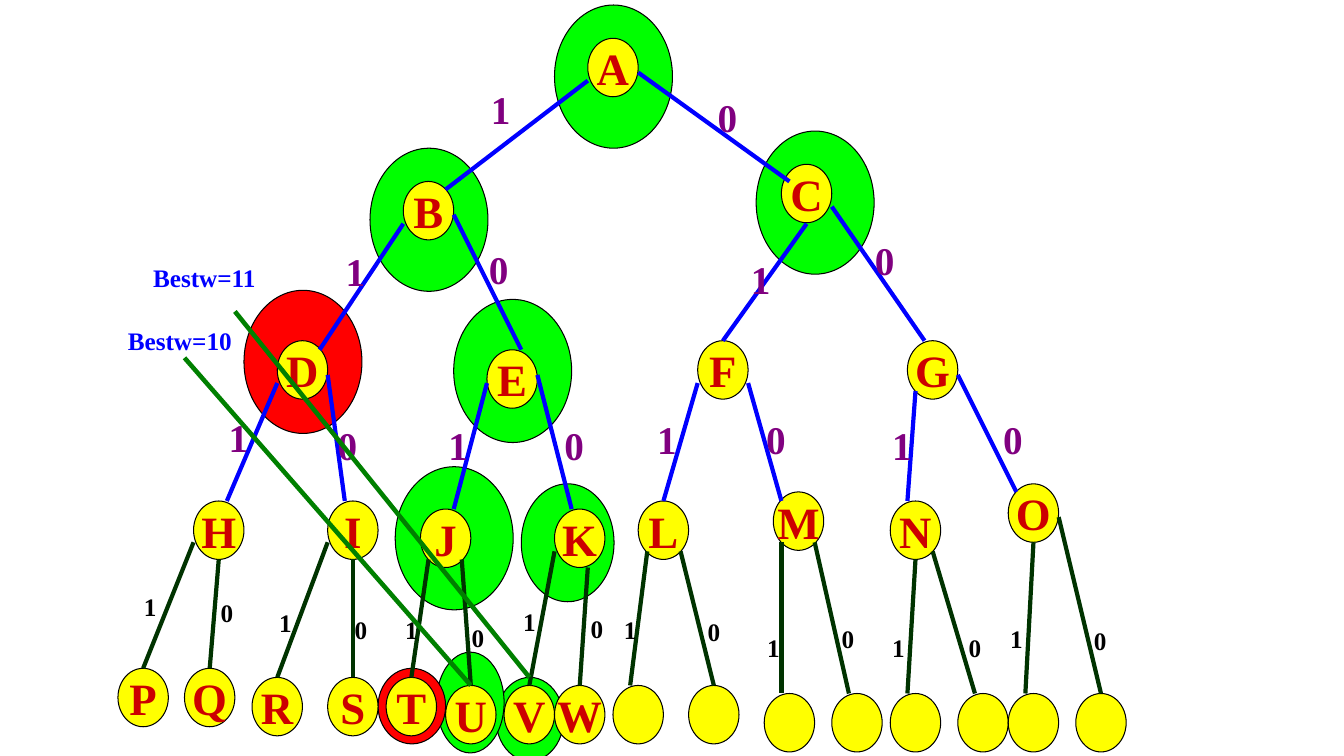
from itertools import cycle

from pptx import Presentation
from pptx.dml.color import RGBColor
from pptx.enum.shapes import MSO_CONNECTOR as CONN, MSO_SHAPE as SHAPE
from pptx.enum.text import MSO_ANCHOR as ANCHOR, MSO_AUTO_SIZE as AUTO, PP_ALIGN as ALIGN
from pptx.oxml.ns import qn
from pptx.util import Emu, Pt

SCALE = 9144  # EMU per px, 100 px to the inch
FONT = "Times New Roman"
NODE_W, NODE_H = 50, 58

BLACK = RGBColor(0x00, 0x00, 0x00)
LIME = RGBColor(0x00, 0xFF, 0x00)
RED = RGBColor(0xFF, 0x00, 0x00)
YELLOW = RGBColor(0xFF, 0xFF, 0x00)
CRIMSON = RGBColor(0xCC, 0x00, 0x00)
BLUE = RGBColor(0x00, 0x00, 0xFF)
PURPLE = RGBColor(0x80, 0x00, 0x80)
DARK_GREEN = RGBColor(0x00, 0x33, 0x00)
GREEN = RGBColor(0x00, 0x80, 0x00)

# Highlights behind visited nodes: left, top, width, height, fill
HALOS = [
    (492, 672, 67, 83, LIME), (517, 480, 92, 117, LIME),
    (433, 647, 67, 100, LIME), (375, 663, 67, 75, RED),
    (242, 288, 117, 142, RED), (750, 130, 117, 142, LIME),
    (392, 463, 117, 142, LIME), (450, 297, 117, 142, LIME),
    (367, 147, 117, 142, LIME), (550, 5, 117, 142, LIME),
]

# Tree nodes: letter, left, top
NODES = [
    ("A", 583, 38),
    ("B", 400, 180), ("C", 775, 163),
    ("D", 275, 338), ("E", 483, 347), ("F", 692, 338), ("G", 900, 338),
    ("H", 192, 497), ("I", 325, 497), ("J", 417, 505), ("K", 550, 505),
    ("L", 633, 497), ("M", 767, 488), ("N", 883, 497), ("O", 1000, 480),
    ("P", 117, 663), ("Q", 183, 663), ("R", 250, 672), ("S", 325, 672),
    ("T", 383, 672), ("U", 442, 680), ("V", 500, 680), ("W", 550, 680),
    ("", 608, 680), ("", 683, 680), ("", 758, 688), ("", 825, 688),
    ("", 883, 688), ("", 950, 688), ("", 1000, 688), ("", 1067, 688),
]

# Edges, left then right child: x1, y1, x2, y2, then left and top of the bit
UPPER_EDGES = [
    (583, 80, 442, 188, 477, 80), (633, 72, 783, 180, 702, 88),
    (400, 222, 317, 347, 333, 240), (450, 213, 517, 347, 475, 238),
    (800, 222, 717, 338, 735, 248), (825, 205, 917, 338, 858, 230),
    (275, 380, 225, 497, 217, 405), (325, 372, 342, 497, 325, 413),
    (483, 380, 450, 505, 435, 413), (533, 372, 567, 505, 550, 413),
    (692, 380, 658, 497, 642, 407), (742, 380, 775, 497, 750, 407),
    (908, 388, 900, 497, 875, 413), (950, 372, 1008, 488, 985, 407),
]
LEAF_EDGES = [
    (192, 538, 142, 663, 133, 582), (217, 555, 208, 663, 209, 588),
    (325, 538, 275, 672, 267, 598), (350, 555, 350, 672, 342, 605),
    (425, 555, 408, 672, 392, 605), (458, 555, 467, 680, 458, 612),
    (550, 547, 525, 680, 509, 597), (583, 563, 575, 680, 576, 604),
    (642, 547, 625, 680, 609, 605), (675, 547, 708, 680, 692, 607),
    (775, 538, 775, 688, 751, 622), (808, 538, 842, 688, 825, 613),
    (908, 555, 900, 688, 875, 622), (925, 547, 967, 688, 951, 622),
    (1025, 538, 1017, 688, 992, 613), (1050, 513, 1092, 688, 1075, 615),
]

# Best weights: text, left, top, then the pointer to its leaf
BESTS = [
    ("Bestw=10", 117, 318, (183, 355, 467, 680)),
    ("Bestw=11", 142, 255, (233, 309, 525, 672)),
]


def px(*lengths):
    return [Emu(n * SCALE) for n in lengths]


def put_text(sp, text, size, color, align=ALIGN.LEFT, anchor=ANCHOR.TOP):
    tf = sp.text_frame
    tf.word_wrap = False
    tf.vertical_anchor = anchor
    p = tf.paragraphs[0]
    p.alignment = align
    r = p.add_run()
    r.text = text
    r.font.name, r.font.size, r.font.bold = FONT, Pt(size), True
    r.font.color.rgb = color


def add_ellipse(s, x, y, w, h, fill):
    sp = s.shapes.add_shape(SHAPE.OVAL, *px(x, y, w, h))
    sp.shadow.inherit = False
    sp.fill.solid()
    sp.fill.fore_color.rgb = fill
    sp.line.color.rgb = BLACK
    sp.line.width = Pt(0.75)
    return sp


def add_node(s, letter, x, y):
    sp = add_ellipse(s, x, y, NODE_W, NODE_H, YELLOW)
    if letter:
        put_text(sp, letter, 32, CRIMSON, align=ALIGN.CENTER, anchor=ANCHOR.MIDDLE)


def add_line(s, ends, color, width=3):
    line = s.shapes.add_connector(CONN.STRAIGHT, *px(*ends))
    line.line.color.rgb = color
    line.line.width = Pt(width)
    sp_pr = line._element.spPr
    sp_pr.append(sp_pr.makeelement(qn("a:effectLst"), {}))


def add_label(s, text, x, y, w, h, size, color):
    sp = s.shapes.add_textbox(*px(x, y, w, h))
    put_text(sp, text, size, color)
    sp.text_frame.auto_size = AUTO.SHAPE_TO_FIT_TEXT


def add_edges(s, edges, line_color, w, h, size, bit_color):
    for *ends, _, _ in edges:
        add_line(s, ends, line_color)
    for bit, (*_, x, y) in zip(cycle("10"), edges):
        add_label(s, bit, x, y, w, h, size, bit_color)


def main():
    prs = Presentation()
    prs.slide_width, prs.slide_height = px(1333, 750)
    s = prs.slides.add_slide(prs.slide_layouts[6])

    # Highlights and nodes
    for halo in HALOS:
        add_ellipse(s, *halo)
    for node in NODES:
        add_node(s, *node)

    # Edges with their bits
    add_edges(s, UPPER_EDGES, BLUE, 40, 57, 28, PURPLE)
    add_edges(s, LEAF_EDGES, DARK_GREEN, 33, 40, 18, BLACK)

    # Best weights with pointers to their leaves
    for text, x, y, pointer in BESTS:
        add_line(s, pointer, GREEN, width=3.25)
        add_label(s, text, x, y, 123, 40, 18, BLUE)

    prs.save("out.pptx")


if __name__ == "__main__":
    main()
